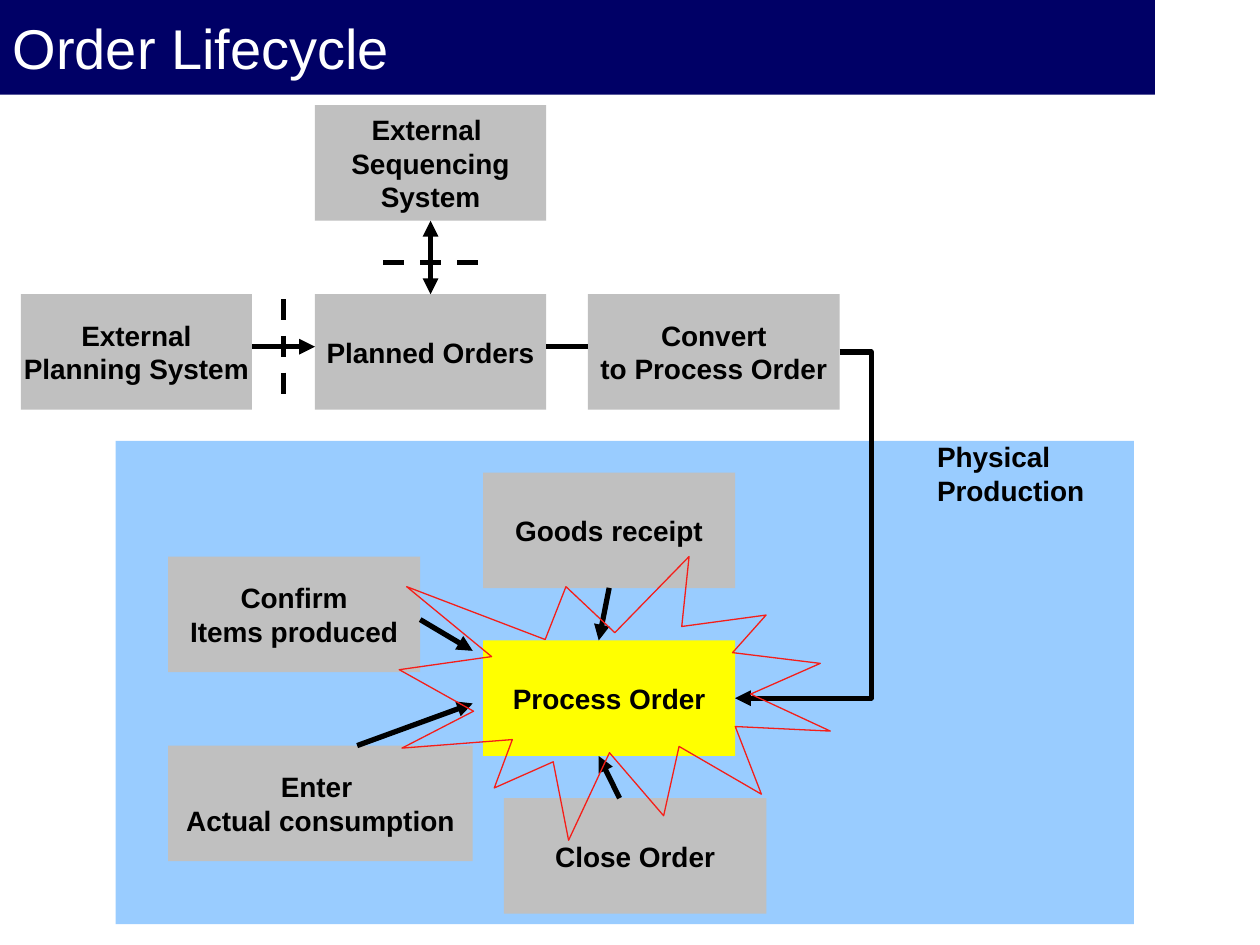
from lxml.etree import SubElement
from pptx import Presentation
from pptx.dml.color import RGBColor
from pptx.enum.dml import MSO_LINE_DASH_STYLE as Dash
from pptx.enum.shapes import MSO_CONNECTOR_TYPE as Connector, MSO_SHAPE as Shape
from pptx.enum.text import MSO_ANCHOR as Anchor, MSO_AUTO_SIZE as AutoSize, PP_ALIGN as Align
from pptx.oxml.ns import qn
from pptx.util import Cm, Pt

COLORS = {
    "banner": "000066", "white": "FFFFFF", "black": "000000",
    "step": "C0C0C0", "focus": "FFFF00", "production": "99CCFF", "burst": "F51E19",
}
FONT = "Arial"
BOX_HEIGHT = 2.33
TOP, LEFT, BOTTOM, RIGHT = range(4)

BOXES = {
    "convert": (11.85, 5.93, 5.08, "Convert\nto Process Order", "step"),
    "planned": (6.35, 5.93, 4.66, "Planned Orders", "step"),
    "sequencing": (6.35, 2.12, 4.66, "External \nSequencing\nSystem", "step"),
    "planning": (0.42, 5.93, 4.66, "External\nPlanning System", "step"),
    "process": (9.74, 12.91, 5.08, "Process Order", "focus"),
    "receipt": (9.74, 9.53, 5.08, "Goods receipt", "step"),
    "confirm": (3.39, 11.22, 5.08, "Confirm\nItems produced", "step"),
    "consumption": (3.39, 15.03, 6.14, "Enter \nActual consumption", "step"),
    "close": (10.16, 16.09, 5.29, "Close Order", "step"),
}
ARROWS = [
    (12.28, 11.85, 12.07, 12.91),
    (8.47, 12.49, 9.53, 13.12),
    (7.2, 15.03, 9.53, 14.18),
    (12.49, 16.09, 12.07, 15.24),
    (5.08, 6.99, 6.35, 6.99),
]
DASHED_LINES = [(5.72, 6.03, 5.72, 7.94), (7.73, 5.29, 9.63, 5.29)]
PLANNED_TO_CONVERT = (11.01, 6.99, 11.85, 6.99)


def color(name):
    return RGBColor.from_string(COLORS[name])


def write(text_frame, text, size, color_name, bold, alignment):
    text_frame.text = text
    for paragraph in text_frame.paragraphs:
        paragraph.alignment = alignment
        for run in paragraph.runs:
            run.font.name = FONT
            run.font.size = Pt(size)
            run.font.bold = bold
            run.font.color.rgb = color(color_name)


def add_title(slide, text):
    title = slide.shapes.title
    title.left, title.top, title.width, title.height = Cm(0), Cm(0), Cm(23.28), Cm(1.91)
    title.fill.solid()
    title.fill.fore_color.rgb = color("banner")
    title.text_frame.vertical_anchor = Anchor.MIDDLE
    title.text_frame.auto_size = AutoSize.NONE
    write(title.text_frame, text, 32, "white", False, Align.LEFT)


def add_panel(slide, left, top, width, height, fill):
    shape = slide.shapes.add_shape(Shape.RECTANGLE, Cm(left), Cm(top), Cm(width), Cm(height))
    shape.shadow.inherit = False
    shape.fill.solid()
    shape.fill.fore_color.rgb = color(fill)
    shape.line.fill.background()
    return shape


def add_box(slide, left, top, width, text, fill):
    shape = add_panel(slide, left, top, width, BOX_HEIGHT, fill)
    shape.text_frame.word_wrap = False
    shape.text_frame.vertical_anchor = Anchor.MIDDLE
    write(shape.text_frame, text, 16, "black", True, Align.CENTER)
    return shape


def add_label(slide, left, top, width, height, text):
    label = slide.shapes.add_textbox(Cm(left), Cm(top), Cm(width), Cm(height))
    label.text_frame.word_wrap = False
    label.text_frame.auto_size = AutoSize.SHAPE_TO_FIT_TEXT
    write(label.text_frame, text, 16, "black", True, Align.LEFT)


def add_line(slide, points=(0, 0, 0, 0), kind=Connector.STRAIGHT, ends=(), dash=None):
    line = slide.shapes.add_connector(kind, *(Cm(value) for value in points))
    line.line.color.rgb = color("black")
    line.line.width = Pt(3)
    if dash:
        line.line.dash_style = dash
    outline = line._element.spPr.find(qn("a:ln"))
    for end in ends:
        SubElement(outline, qn(f"a:{end}"), type="triangle")
    SubElement(line._element.spPr, qn("a:effectLst"))
    return line


def join(line, start, start_side, end, end_side):
    line.begin_connect(start, start_side)
    line.end_connect(end, end_side)


def add_burst(slide, left, top, width, height):
    burst = slide.shapes.add_shape(Shape.EXPLOSION1, Cm(left), Cm(top), Cm(width), Cm(height))
    burst.shadow.inherit = False
    burst.fill.background()
    burst.line.color.rgb = color("burst")
    burst.line.width = Pt(0.74)


def main():
    presentation = Presentation()
    presentation.slide_width, presentation.slide_height = Cm(25.4), Cm(19.05)
    slide = presentation.slides.add_slide(presentation.slide_layouts[5])
    add_title(slide, "Order Lifecycle")
    add_panel(slide, 2.33, 8.89, 20.53, 9.74, "production")
    boxes = {name: add_box(slide, *values) for name, values in BOXES.items()}
    add_label(slide, 18.64, 8.74, 3.48, 1.63, "Physical\nProduction")

    for points in ARROWS:
        add_line(slide, points, ends=["tailEnd"])
    for points in DASHED_LINES:
        add_line(slide, points, dash=Dash.DASH)
    add_line(slide, PLANNED_TO_CONVERT)
    exchange = add_line(slide, ends=["headEnd", "tailEnd"])
    join(exchange, boxes["planned"], TOP, boxes["sequencing"], BOTTOM)
    release = add_line(slide, kind=Connector.ELBOW, ends=["tailEnd"])
    join(release, boxes["convert"], RIGHT, boxes["process"], RIGHT)
    guides = release._element.spPr.find(qn("a:prstGeom")).get_or_add_avLst()
    SubElement(guides, qn("a:gd"), name="adj1", fmla="val -30000")
    add_burst(slide, 8.05, 11.22, 8.69, 5.72)
    presentation.save("out.pptx")


main()
